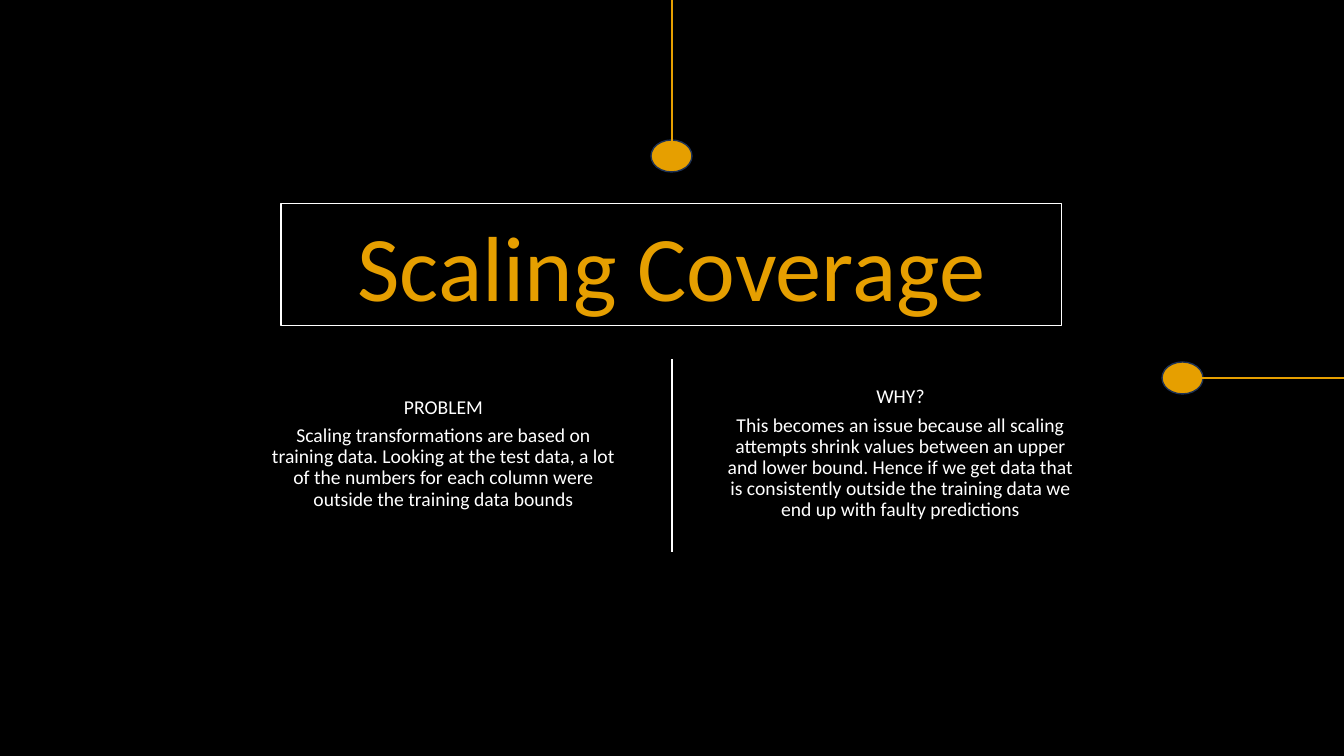
from lxml.etree import SubElement
from pptx import Presentation
from pptx.dml.color import RGBColor
from pptx.enum.shapes import MSO_CONNECTOR, MSO_SHAPE
from pptx.enum.text import MSO_ANCHOR, MSO_AUTO_SIZE, PP_ALIGN
from pptx.oxml.ns import qn
from pptx.util import Emu, Pt

SCALE = 914400 / 100.8
WIDE, HIGH = 1344, 756
MID = WIDE // 2
DOT_W, DOT_H = 41, 32
COLORS = {"back": "000000", "gold": "E69F00", "white": "FFFFFF", "navy": "1E3256"}

TITLE = "Scaling Coverage"
NOTES = [
    (266, "PROBLEM",
     "Scaling transformations are based on training data. Looking at the test "
     "data, a lot of the numbers for each column were outside the training data "
     "bounds"),
    (723, "WHY?",
     "This becomes an issue because all scaling attempts shrink values between "
     "an upper and lower bound. Hence if we get data that is consistently "
     "outside the training data we end up with faulty predictions"),
]
DOTS = [(651, 140), (1162, 362)]
LINES = [
    (MID, 0, MID, 141, "gold"),
    (MID, 359, MID, 552, "white"),
    (WIDE, 378, 1199, 378, "gold"),
]


def px(num):
    return Emu(round(num * SCALE))


def hue(name):
    return RGBColor.from_string(COLORS[name])


def apply(item, **form):
    """Set each named format value on the item."""
    for key, value in form.items():
        setattr(item, key, value)


def stroke(line, color, width):
    line.color.rgb = hue(color)
    line.width = Pt(width)


def style(para, size, color, **form):
    apply(para, alignment=PP_ALIGN.CENTER, **form)
    apply(para.font, name="Calibri", size=Pt(size))
    para.font.color.rgb = hue(color)


def add_title(slide):
    box = slide.shapes.title
    apply(box, left=px(281), top=px(204), width=px(781), height=px(122))
    stroke(box.line, "white", 0.75)
    frame = box.text_frame
    frame.text = TITLE
    apply(frame, auto_size=MSO_AUTO_SIZE.NONE, vertical_anchor=MSO_ANCHOR.TOP,
          word_wrap=True)
    style(frame.paragraphs[0], 66, "gold", line_spacing=1.0)


def add_note(slide, left, head, body):
    frame = slide.shapes.add_textbox(px(left), px(368), px(355), px(172)).text_frame
    apply(frame, word_wrap=True, vertical_anchor=MSO_ANCHOR.MIDDLE,
          margin_left=px(3), margin_right=px(3),
          margin_top=px(2), margin_bottom=px(2))
    frame.text = f"{head}\n{body}"
    for para in frame.paragraphs:
        style(para, 14, "white", line_spacing=0.9, space_after=Pt(5))


def add_dot(slide, left, top):
    dot = slide.shapes.add_shape(
        MSO_SHAPE.OVAL, px(left), px(top), px(DOT_W), px(DOT_H))
    dot.shadow.inherit = False
    dot.fill.solid()
    dot.fill.fore_color.rgb = hue("gold")
    stroke(dot.line, "navy", 1)


def add_line(slide, *ends, color):
    line = slide.shapes.add_connector(MSO_CONNECTOR.STRAIGHT, *map(px, ends))
    stroke(line.line, color, 2)
    SubElement(line._element.spPr, qn("a:effectLst"))


def main():
    deck = Presentation()
    apply(deck, slide_width=px(WIDE), slide_height=px(HIGH))
    slide = deck.slides.add_slide(deck.slide_layouts[5])
    fill = slide.background.fill
    fill.solid()
    fill.fore_color.rgb = hue("back")
    add_title(slide)
    for note in NOTES:
        add_note(slide, *note)
    for dot in DOTS:
        add_dot(slide, *dot)
    for *ends, color in LINES:
        add_line(slide, *ends, color=color)
    deck.save("out.pptx")


if __name__ == "__main__":
    main()
